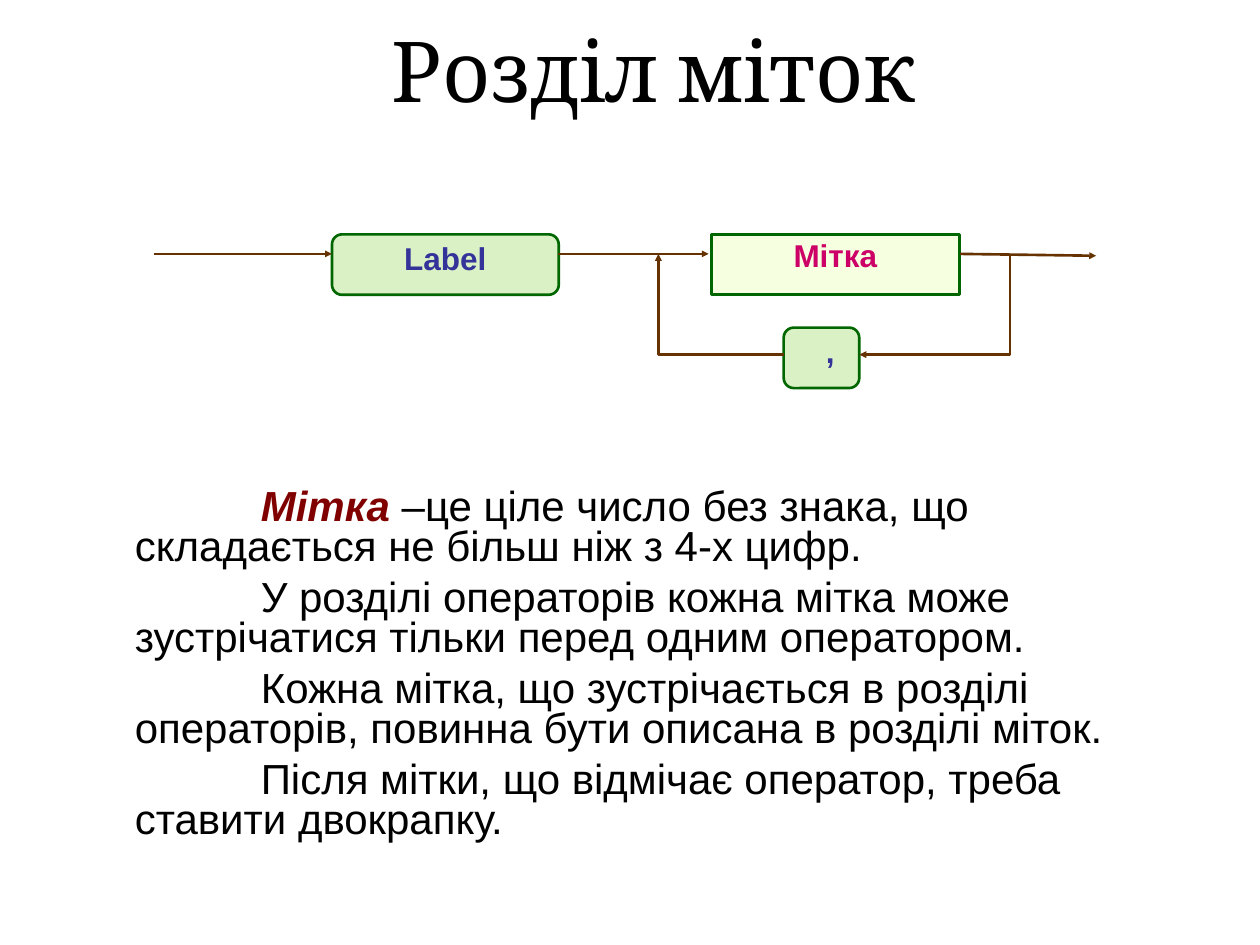
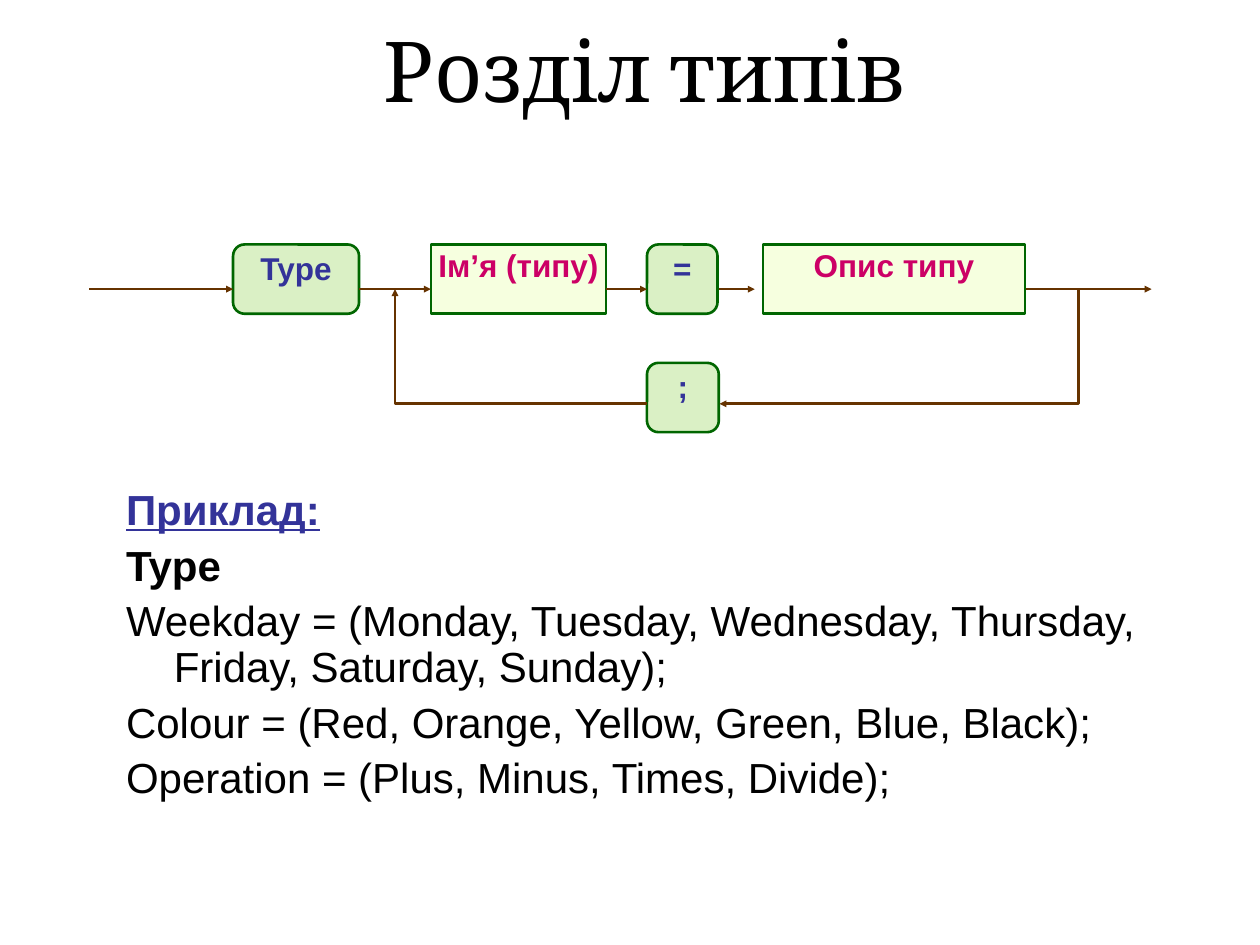
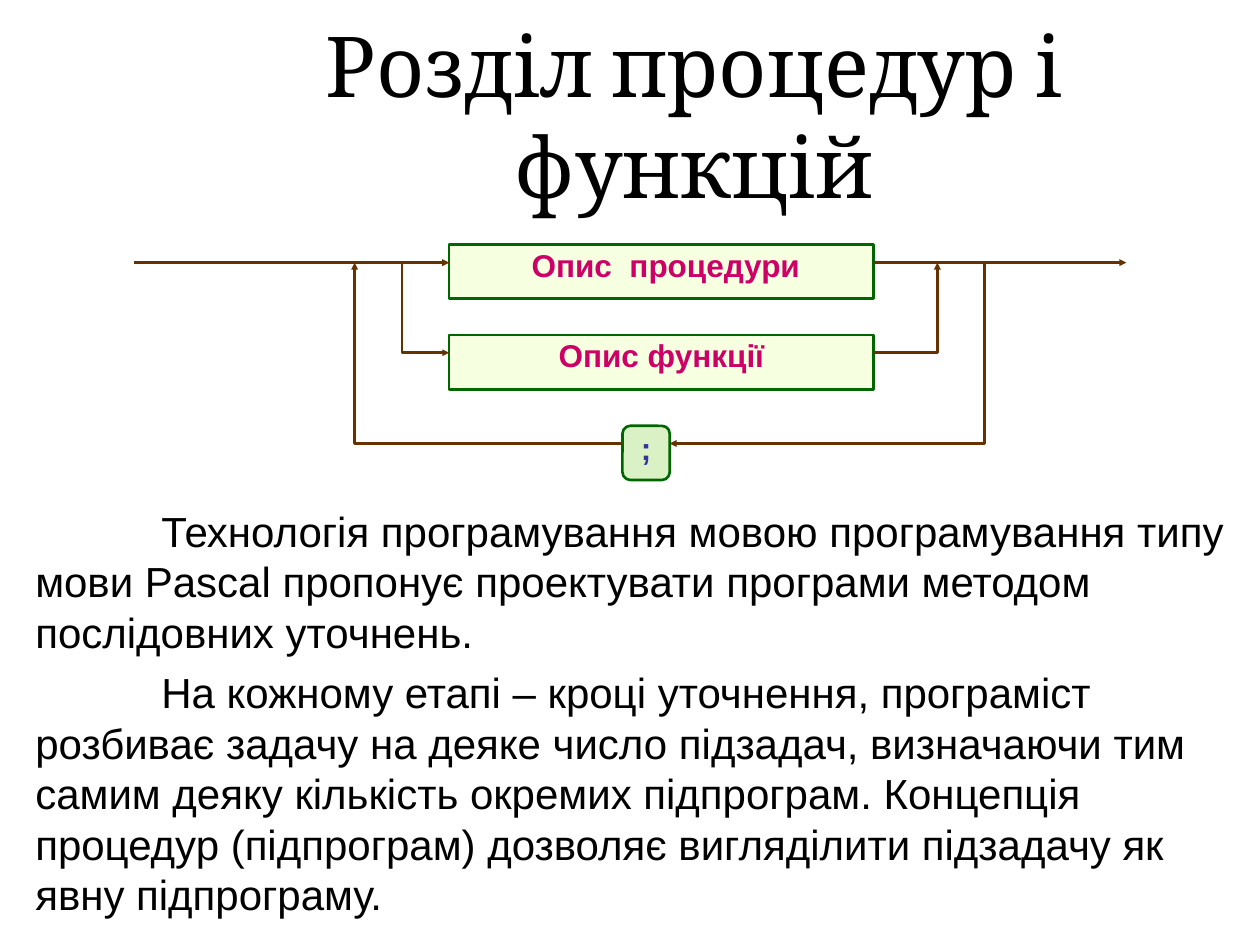
import lxml.etree
import pptx
import pptx.dml.color
import pptx.enum.shapes
import pptx.enum.text
import pptx.oxml.ns
import pptx.util

RGBColor = pptx.dml.color.RGBColor
BLACK = RGBColor(0x00, 0x00, 0x00)
MAROON = RGBColor(0x80, 0x00, 0x00)
BLUE = RGBColor(0x33, 0x33, 0x99)
PINK = RGBColor(0xCC, 0x00, 0x66)
BROWN = RGBColor(0x66, 0x33, 0x00)
GREEN = RGBColor(0x00, 0x66, 0x00)
LIME = RGBColor(0xB6, 0xE3, 0x8D)
CREAM = RGBColor(0xEF, 0xFF, 0xC1)

UNIT = pptx.util.Inches(0.1)
CENTER = pptx.enum.text.PP_ALIGN.CENTER
SHAPES = pptx.enum.shapes.MSO_SHAPE


def grid(*cells):
    return [round(cell * UNIT) for cell in cells]


def sub(node, tag, **attrs):
    return lxml.etree.SubElement(node, pptx.oxml.ns.qn(tag), **attrs)


def write(para, text, font="Arial", size=24, color=BLACK, bold=False,
          italic=False, under=False, align=None):
    if align is not None:
        para.alignment = align
    run = para.add_run()
    run.text = text
    face = run.font
    face.name, face.size = font, pptx.util.Pt(size)
    face.bold, face.italic, face.underline = bold, italic, under
    face.color.rgb = color


class Deck:
    def __init__(self):
        self.show = pptx.Presentation()
        self.show.slide_width, self.show.slide_height = grid(100, 75)
        self.slide = None

    def place(self, holder, *cells):
        holder.left, holder.top, holder.width, holder.height = grid(*cells)
        frame = holder.text_frame
        frame.word_wrap = True
        frame.auto_size = pptx.enum.text.MSO_AUTO_SIZE.NONE
        return frame

    def page(self, title, left, top=0.1):
        self.slide = self.show.slides.add_slide(self.show.slide_layouts[1])
        frame = self.place(self.slide.shapes.title, left, top, 73.2, 10.7)
        frame.vertical_anchor = pptx.enum.text.MSO_ANCHOR.MIDDLE
        write(frame.paragraphs[0], title, font="Cambria", size=48, align=CENTER)

    def body(self, cells, paras, lead=1.0, first=1.0):
        frame = self.place(self.slide.placeholders[1], *cells)
        for num, runs in enumerate(paras):
            para = frame.add_paragraph() if num else frame.paragraphs[0]
            props = para._p.get_or_add_pPr()
            props.set("marL", str(pptx.util.Inches(0.38)))
            props.set("indent", str(pptx.util.Inches(first)))
            sub(props, "a:buNone")
            para.line_spacing = lead
            para.space_before = pptx.util.Pt(6 if num else 0)
            for text, style in runs:
                write(para, text, **style)

    def box(self, kind, text, cells, fill, color, shift=0):
        shape = self.slide.shapes.add_shape(kind, *grid(*cells))
        shape.shadow.inherit = False
        shape.fill.solid()
        shape.fill.fore_color.rgb = fill
        tint = shape.element.spPr.find(pptx.oxml.ns.qn("a:solidFill"))[0]
        sub(tint, "a:alpha", val="50000")
        shape.line.color.rgb = GREEN
        shape.line.width = pptx.util.Pt(1.5)
        frame = shape.text_frame
        frame.word_wrap = True
        frame.vertical_anchor = pptx.enum.text.MSO_ANCHOR.TOP
        frame.margin_left = pptx.util.Inches(0.01 + shift)
        frame.margin_right = frame.margin_top = frame.margin_bottom = pptx.util.Inches(0.01)
        write(frame.paragraphs[0], text, size=18, color=color, bold=True, align=CENTER)

    def token(self, text, *cells, shift=0):
        self.box(SHAPES.ROUNDED_RECTANGLE, text, cells, LIME, BLUE, shift)

    def term(self, text, *cells, shift=0):
        self.box(SHAPES.RECTANGLE, text, cells, CREAM, PINK, shift)

    def arrow(self, line):
        line.line.color.rgb = BROWN
        line.line.width = pptx.util.Pt(1.5)
        props = line.element.spPr
        sub(props.find(pptx.oxml.ns.qn("a:ln")), "a:tailEnd",
            type="triangle", w="sm", len="sm")
        return props

    def flow(self, row, *spans, drop=0):
        for start, end in spans:
            line = self.slide.shapes.add_connector(
                pptx.enum.shapes.MSO_CONNECTOR.STRAIGHT,
                *grid(start, row, end, row + drop))
            sub(self.arrow(line), "a:effectLst")

    def bend(self, *points):
        first, *rest = [grid(*point) for point in points]
        path = self.slide.shapes.build_freeform(*first)
        path.add_line_segments(rest, close=False)
        shape = path.convert_to_shape()
        shape.shadow.inherit = False
        shape.fill.background()
        self.arrow(shape)

    def loop(self, row, low, right, left, back, out):
        self.bend((right, row), (right, low), (back, low))
        self.bend((out, low), (left, low), (left, row))


def labels(deck):
    deck.page("Розділ міток", 15.3)
    deck.body((5.9, 38.3, 90, 29.9), [
        [("Мітка", dict(color=MAROON, bold=True, italic=True)),
         (" –це ціле число без знака, що складається не більш ніж з 4-х цифр.", {})],
        [("У розділі операторів кожна мітка може зустрічатися тільки перед одним оператором.", {})],
        [("Кожна мітка, що зустрічається в розділі операторів, повинна бути описана в розділі міток.", {})],
        [("Після мітки, що відмічає оператор, треба ставити двокрапку.", {})],
    ], lead=0.8)
    deck.token("Label", 26.35, 18.6, 18, 4.8)
    deck.term("Мітка", 56.45, 18.6, 19.7, 4.8)
    deck.token(",", 62.2, 26, 6, 4.8, shift=0.14)
    deck.flow(20.15, (12.2, 26.35), (44.3, 56.25))
    deck.flow(20.15, (76.2, 87), drop=0.15)
    deck.loop(20.15, 28.15, right=80.15, left=52.25, back=68.2, out=62.2)


def types(deck):
    deck.page("Розділ типів", 14.6)
    deck.body((9, 38.3, 90, 28.7), [
        [("Приклад:", dict(color=BLUE, bold=True, under=True))],
        [("Type", dict(bold=True))],
        [("Weekday = (Monday, Tuesday, Wednesday, Thursday, Friday, Saturday, Sunday);", {})],
        [("Colour = (Red, Orange, Yellow, Green, Blue, Black);", {})],
        [("Operation = (Plus, Minus, Times, Divide);", {})],
    ], lead=0.9, first=-0.38)
    deck.token("Type", 18.5, 19.4, 10, 5.5)
    deck.term("Ім’я (типу)", 34.2, 19.4, 13.9, 5.5)
    deck.token("=", 51.35, 19.4, 5.6, 5.5)
    deck.term("Опис типу", 60.55, 19.4, 20.8, 5.5)
    deck.token(";", 51.35, 28.8, 5.7, 5.5)
    deck.flow(22.95, (7.1, 18.5), (28.5, 34.2), (48.1, 51.35), (57.1, 59.9), (81.4, 91.4))
    deck.loop(22.95, 32.05, right=85.6, left=31.35, back=57.1, out=51.35)


def routines(deck):
    deck.page("Розділ процедур і функцій", 18.5, 3.7)
    deck.body((-2, 39.6, 102, 37.3), [
        [("Технологія програмування мовою програмування типу мови Pascal пропонує "
          "проектувати програми методом послідовних уточнень.", {})],
        [("На кожному етапі – кроці уточнення, програміст розбиває задачу на деяке "
          "число підзадач, визначаючи тим самим деяку кількість окремих підпрограм. "
          "Концепція процедур (підпрограм) дозволяє вигляділити підзадачу як явну "
          "підпрограму.", {})],
    ])
    deck.term("Опис  процедури", 35.65, 19.4, 33.7, 4.3, shift=0.07)
    deck.term("Опис функції", 35.65, 26.6, 33.7, 4.3)
    deck.token(";", 49.4, 33.8, 3.75, 4.3)
    deck.flow(20.85, (10.6, 35.65), (69.4, 89.4))
    deck.bend((31.9, 20.85), (31.9, 28), (35.65, 28))
    deck.bend((69.4, 28), (74.4, 28), (74.4, 20.85))
    deck.loop(20.85, 35.2, right=78.15, left=28.15, back=53.15, out=49.4)


def main():
    deck = Deck()
    for build in (labels, types, routines):
        build(deck)
    deck.show.save("out.pptx")


if __name__ == "__main__":
    main()
